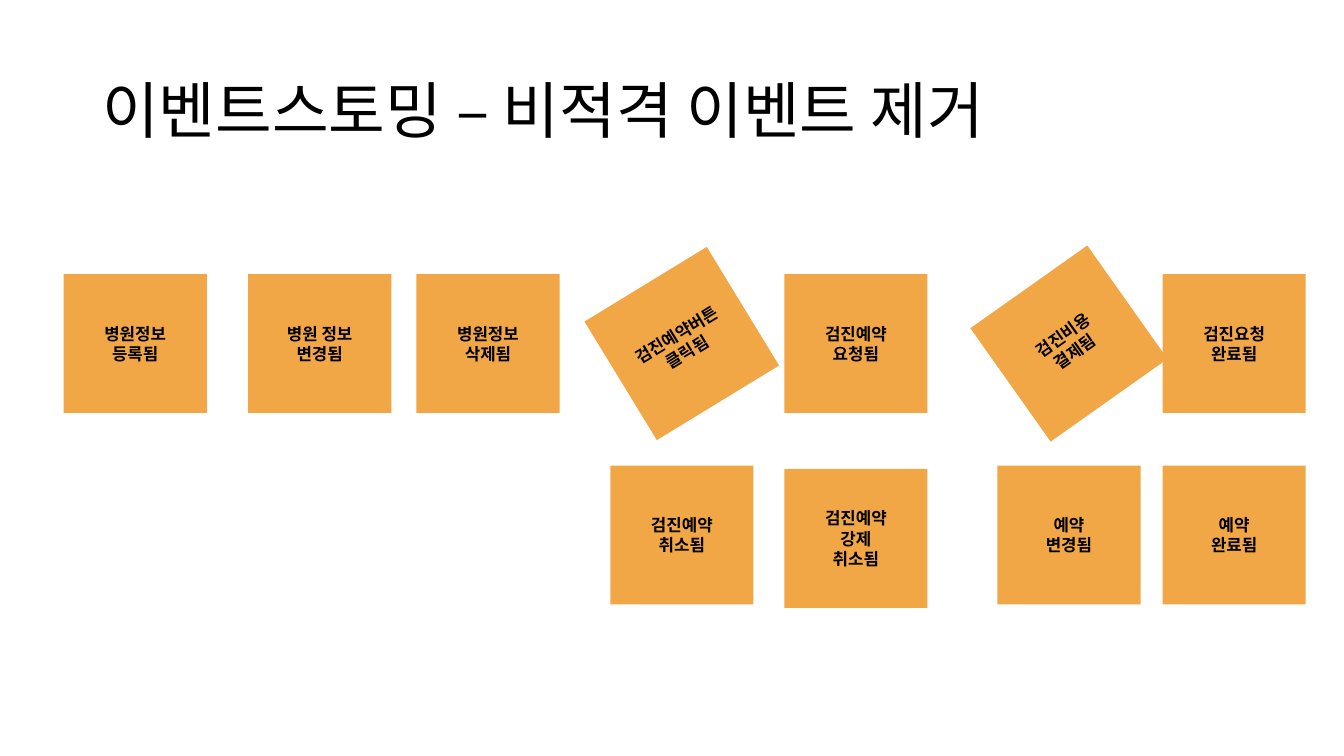
import pptx
import pptx.util
import pptx.dml.color
import pptx.enum.shapes
import pptx.enum.text
import pptx.oxml.ns
import lxml.etree

Pt = pptx.util.Pt
FONT = "Noto Sans CJK KR"
INK = "000000"
STICKY = "F1A746"
STICKY_WIDTH, STICKY_HEIGHT = 102.3, 99.2

# Offsets of the sticky columns and rows from the board's corner
COLUMNS = [0, 131.8, 252, 390.5, 514.8, 667, 785]
TOP_ROW, LOWER_ROW, FORCED_ROW = 0, 136.8, 139.2

# Text, column, row, rotation
EVENTS = [
    ("병원정보\n등록됨", 0, TOP_ROW, 0),
    ("병원 정보\n변경됨", 1, TOP_ROW, 0),
    ("병원정보\n삭제됨", 2, TOP_ROW, 0),
    ("검진예약\n요청됨", 4, TOP_ROW, 0),
    ("검진예약\n취소됨", 3, LOWER_ROW, 0),
    ("예약\n변경됨", 5, LOWER_ROW, 0),
    ("예약\n완료됨", 6, LOWER_ROW, 0),
    ("검진예약\n강제\n취소됨", 4, FORCED_ROW, 0),
    ("검진비용\n결제됨", 5, TOP_ROW, -35.3),
    ("검진예약버튼\n클릭됨", 3, TOP_ROW, -31.4),
    ("검진요청\n완료됨", 6, TOP_ROW, 0),
]


def color(value):
    return pptx.dml.color.RGBColor.from_string(value)


def write_text(shape, text, size, bold, align, line_spacing):
    frame = shape.text_frame
    frame.text = text
    frame.word_wrap = True
    frame.vertical_anchor = pptx.enum.text.MSO_ANCHOR.MIDDLE
    for para in frame.paragraphs:
        para.alignment = align
        para.line_spacing = line_spacing
        for span in para.runs:
            span.font.size = Pt(size)
            span.font.bold = bold
            span.font.color.rgb = color(INK)
            span.font.name = FONT
            east_asian = lxml.etree.SubElement(
                span.font._element, pptx.oxml.ns.qn("a:ea"))
            east_asian.set("typeface", FONT)


def add_title(page, left, top, width, height):
    box = page.shapes.add_textbox(Pt(left), Pt(top), Pt(width), Pt(height))
    write_text(box, "이벤트스토밍 – 비적격 이벤트 제거", 44, False,
               pptx.enum.text.PP_ALIGN.LEFT, 0.9)


def add_sticky(page, left, top, text, rotation):
    sticky = page.shapes.add_shape(
        pptx.enum.shapes.MSO_SHAPE.RECTANGLE,
        Pt(left), Pt(top), Pt(STICKY_WIDTH), Pt(STICKY_HEIGHT))
    sticky.rotation = rotation
    sticky.shadow.inherit = False
    sticky.fill.solid()
    sticky.fill.fore_color.rgb = color(STICKY)
    sticky.line.fill.background()
    write_text(sticky, text, 12, True, pptx.enum.text.PP_ALIGN.CENTER, 1.0)


def add_event_board(page, left, top):
    for text, column, row, rotation in EVENTS:
        add_sticky(page, left + COLUMNS[column], top + row, text, rotation)


def main():
    deck = pptx.Presentation()
    deck.slide_width, deck.slide_height = Pt(960), Pt(540)
    page = deck.slides.add_slide(deck.slide_layouts[6])
    add_title(page, 66, 28.8, 828, 104.4)
    add_event_board(page, 45.4, 195.8)
    deck.save("out.pptx")


if __name__ == "__main__":
    main()
